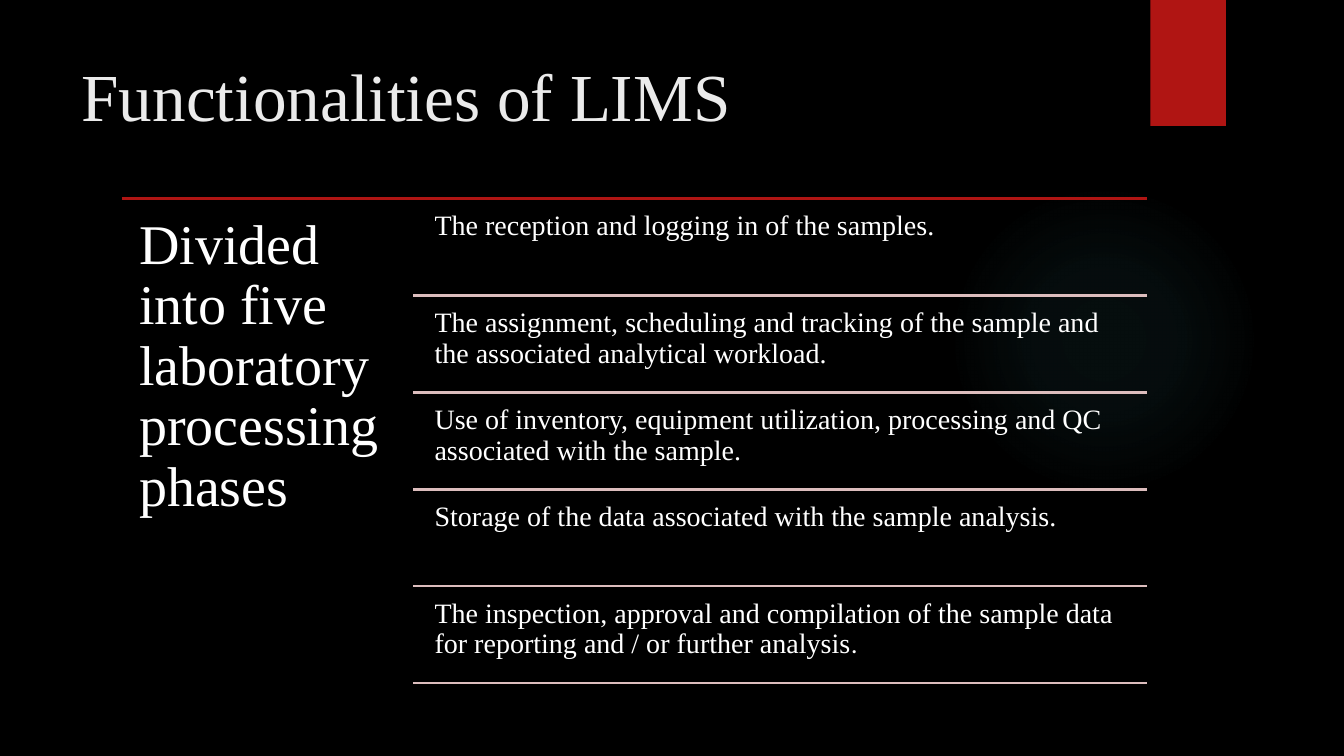
from lxml.etree import SubElement
from pptx import Presentation
from pptx.dml.color import RGBColor
from pptx.enum.shapes import MSO_CONNECTOR, MSO_SHAPE
from pptx.enum.text import MSO_ANCHOR
from pptx.oxml import parse_xml
from pptx.oxml.ns import nsdecls, qn
from pptx.util import Inches, Pt

BLACK = RGBColor(0x00, 0x00, 0x00)
WHITE = RGBColor(0xFF, 0xFF, 0xFF)
TITLE_GREY = RGBColor(0xEB, 0xEB, 0xEB)
RED = RGBColor(0xB0, 0x15, 0x13)
PINK = RGBColor(0xDC, 0xBD, 0xBD)
TEAL = RGBColor(0x50, 0xB9, 0xC1)
SERIF = "Times New Roman"

# Grid in inches: a heading column beside five equal rows
GRID_LEFT, PHASE_LEFT, GRID_RIGHT = 1.21, 4.1, 11.38
GRID_TOP, GRID_BOTTOM = 1.97, 6.78
PHASE_INDENT, PHASE_DROP = 0.13, 0.05

GLOW_STOPS = [(0, 7), (36, 6), (69, 0)]  # position and opacity, percent
TITLE_FORMAT = {"name": SERIF, "size": Pt(48)}
HEADING_FORMAT = {"name": SERIF, "size": Pt(40)}
PHASE_FORMAT = {"name": SERIF, "size": Pt(20)}
FULL_STOP_FORMAT = {"name": "League Spartan", "size": Pt(18)}

PHASES = [
    [("The reception and logging in of the samples.", PHASE_FORMAT)],
    [("The assignment, scheduling and tracking of the sample and "
      "the associated analytical workload.", PHASE_FORMAT)],
    [("Use of inventory, equipment utilization, processing and QC "
      "associated with the sample.", PHASE_FORMAT)],
    [("Storage of the data associated with the sample analysis.", PHASE_FORMAT)],
    [("The inspection, approval and compilation of the sample data "
      "for reporting and / or further analysis", PHASE_FORMAT),
     (".", FULL_STOP_FORMAT)],
]


def add_plain_shape(slide, kind, left, top, width, height):
    shape = slide.shapes.add_shape(
        kind, Inches(left), Inches(top), Inches(width), Inches(height))
    shape.shadow.inherit = False
    shape.line.fill.background()
    return shape


def add_glow(slide, left, top, size):
    """Add a circle that fades out from its centre."""
    glow = add_plain_shape(slide, MSO_SHAPE.OVAL, left, top, size, size)
    stops = "".join(
        f'<a:gs pos="{position * 1000}"><a:srgbClr val="{TEAL}">'
        f'<a:alpha val="{opacity * 1000}"/></a:srgbClr></a:gs>'
        for position, opacity in GLOW_STOPS)
    gradient = parse_xml(
        f'<a:gradFill {nsdecls("a")} rotWithShape="1"><a:gsLst>{stops}</a:gsLst>'
        '<a:path path="circle"><a:fillToRect l="50000" t="50000" r="50000" '
        'b="50000"/></a:path></a:gradFill>')
    glow.element.spPr.find(qn("a:prstGeom")).addnext(gradient)


def add_text(slide, box, runs, color, margin, spacing=1.0):
    text_box = slide.shapes.add_textbox(*(Inches(length) for length in box))
    frame = text_box.text_frame
    frame_format = {"word_wrap": True, "vertical_anchor": MSO_ANCHOR.TOP}
    for side in ("left", "top", "right", "bottom"):
        frame_format[f"margin_{side}"] = Inches(margin)
    for name, value in frame_format.items():
        setattr(frame, name, value)
    paragraph = frame.paragraphs[0]
    paragraph.line_spacing = spacing
    for text, font_format in runs:
        run = paragraph.add_run()
        run.text = text
        run.font.color.rgb = color
        for name, value in font_format.items():
            setattr(run.font, name, value)


def add_rule(slide, left, y, color):
    """Add a horizontal line that ends at the right edge of the grid."""
    rule = slide.shapes.add_connector(
        MSO_CONNECTOR.STRAIGHT,
        Inches(left), Inches(y), Inches(GRID_RIGHT), Inches(y))
    rule.line.color.rgb = color
    rule.line.width = Pt(1.5)
    SubElement(rule.element.spPr, qn("a:effectLst"))


def add_phases(slide):
    row_height = (GRID_BOTTOM - GRID_TOP) / len(PHASES)
    text_left = PHASE_LEFT + PHASE_INDENT
    for row, runs in enumerate(PHASES):
        top = GRID_TOP + row * row_height
        box = (text_left, top + PHASE_DROP,
               GRID_RIGHT - text_left, row_height - PHASE_DROP)
        add_text(slide, box, runs, WHITE, margin=0.08, spacing=0.9)
        add_rule(slide, PHASE_LEFT, top + row_height, PINK)


def main():
    presentation = Presentation()
    presentation.slide_width = Inches(13.33)
    presentation.slide_height = Inches(7.5)
    slide = presentation.slides.add_slide(presentation.slide_layouts[6])
    slide.background.fill.solid()
    slide.background.fill.fore_color.rgb = BLACK

    add_glow(slide, 9.41, 1.83, 3.08)
    tab = add_plain_shape(slide, MSO_SHAPE.RECTANGLE, 11.41, 0, 0.75, 1.25)
    tab.fill.solid()
    tab.fill.fore_color.rgb = RED

    add_text(slide, (0.71, 0.44, 10.29, 1.53),
             [("Functionalities of LIMS", TITLE_FORMAT)], TITLE_GREY, margin=0.1)
    add_rule(slide, GRID_LEFT, GRID_TOP, RED)
    add_text(slide,
             (GRID_LEFT, GRID_TOP, PHASE_LEFT - GRID_LEFT, GRID_BOTTOM - GRID_TOP),
             [("Divided into five laboratory processing phases", HEADING_FORMAT)],
             WHITE, margin=0.17, spacing=0.9)
    add_phases(slide)
    presentation.save("out.pptx")


if __name__ == "__main__":
    main()
